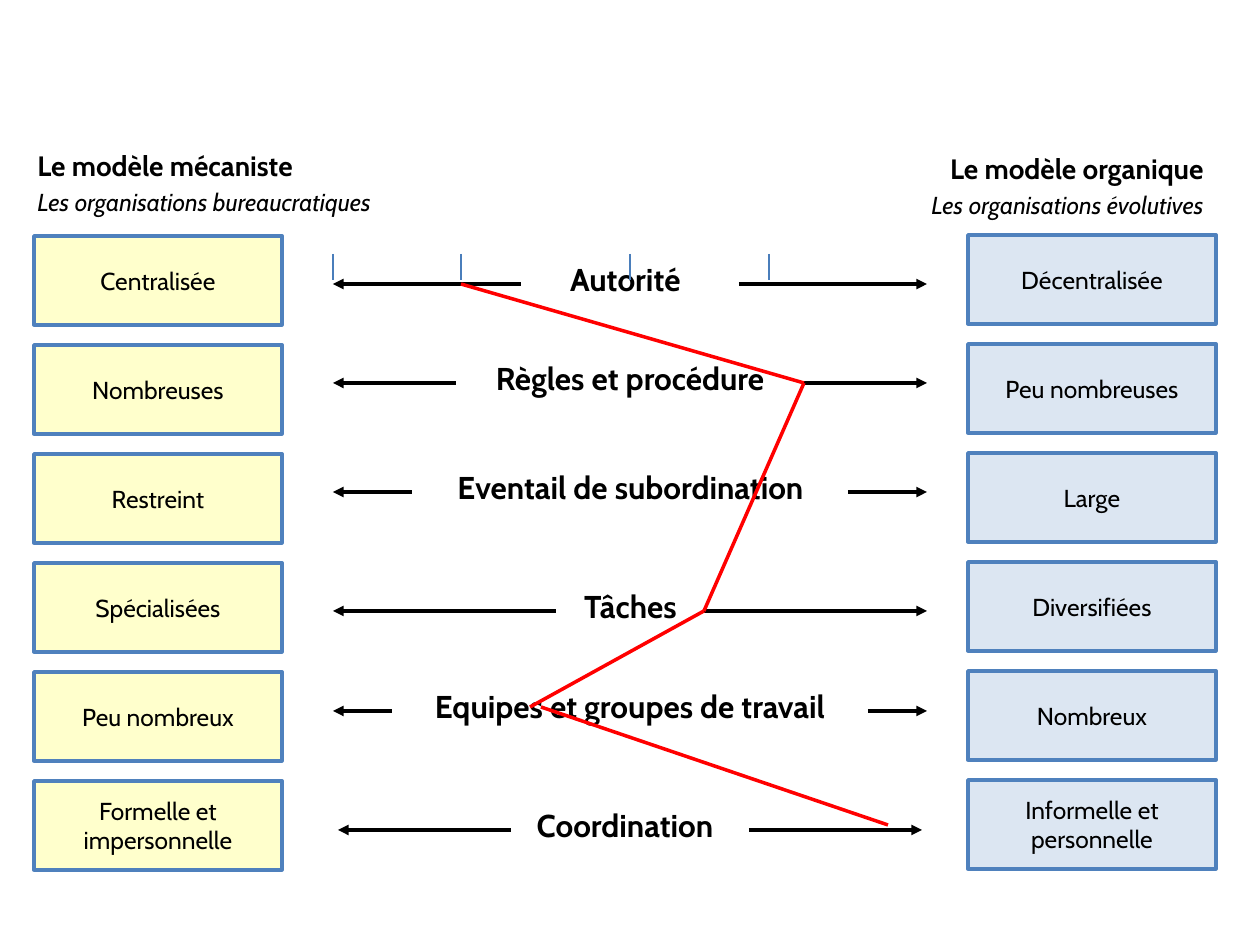
from lxml import etree
from pptx import Presentation
from pptx.dml.color import RGBColor
from pptx.enum.shapes import MSO_CONNECTOR, MSO_SHAPE
from pptx.enum.text import MSO_ANCHOR, PP_ALIGN
from pptx.oxml.ns import qn
from pptx.util import Emu, Pt

LEFT, CENTER, RIGHT = PP_ALIGN.LEFT, PP_ALIGN.CENTER, PP_ALIGN.RIGHT
TOP, MIDDLE = MSO_ANCHOR.TOP, MSO_ANCHOR.MIDDLE
STRAIGHT, RECTANGLE = MSO_CONNECTOR.STRAIGHT, MSO_SHAPE.RECTANGLE
FONT = "Cabin"
COLORS = {"text": "000000", "arrow": "000000", "mechanistic": "FFFFCC",
          "organic": "DCE6F2", "border": "4F81BD", "profile": "FF0000", "tick": "4A7EBB"}

# Content: headings as title, subtitle, left, top, alignment
HEADINGS = [
    ("Le modèle mécaniste", "Les organisations bureaucratiques", 25, 142, LEFT),
    ("Le modèle organique", "Les organisations évolutives", 809, 145, RIGHT),
]
# Box columns as fill, left, top, entries (one list of lines per box)
COLUMNS = [
    ("mechanistic", 34, 236, [["Centralisée"], ["Nombreuses"], ["Restreint"], ["Spécialisées"],
                              ["Peu nombreux"], ["Formelle et", "impersonnelle"]]),
    ("organic", 968, 235, [["Décentralisée"], ["Peu nombreuses"], ["Large"], ["Diversifiées"],
                           ["Nombreux"], ["Informelle et", "personnelle"]]),
]
# Criteria as label, label centre, label width, arrow height,
# then inner and outer arrow distance from the middle
CRITERIA = [
    ("Autorité", 625, 189, 284, 109, 297),
    ("Règles et procédure", 630, 358, 383, 174, 297),
    ("Eventail de subordination", 630, 437, 492, 218, 297),
    ("Tâches", 630, 179, 611, 74, 297),
    ("Equipes et groupes de travail", 630, 496, 711, 238, 297),
    ("Coordination", 625, 248, 830, 119, 292),
]
PROFILE = [((461, 284), (804, 383)), ((704, 611), (804, 383)),
           ((530, 707), (704, 611)), ((541, 707), (888, 825))]
TICKS = [333, 461, 630, 769]

BOX_WIDTH, BOX_HEIGHT, BOX_STEP = 248, 89, 109
LABEL_HEIGHT, LABEL_RISE = 50, 30
MIDLINE = 630
TICK_TOP, TICK_BOTTOM = 254, 280


def px(value):
    return Emu(value * 914400 // 126)


def color(name):
    return RGBColor.from_string(COLORS[name])


def write(frame, lines, align, anchor, wrap):
    """Fill a frame; each line is text, size, bold, italic, space before."""
    frame.word_wrap = wrap
    frame.vertical_anchor = anchor
    for index, (text, size, bold, italic, before) in enumerate(lines):
        para = frame.paragraphs[0] if index == 0 else frame.add_paragraph()
        para.alignment = align
        para.space_before = Pt(before)
        span = para.add_run()
        span.text = text
        span.font.name = FONT
        span.font.size = Pt(size)
        span.font.bold = bold
        span.font.italic = italic
        span.font.color.rgb = color("text")


def add_text(slide, left, top, width, height, lines, align, anchor):
    box = slide.shapes.add_textbox(px(left), px(top), px(width), px(height))
    write(box.text_frame, lines, align, anchor, True)


def add_box(slide, left, top, fill, lines):
    box = slide.shapes.add_shape(RECTANGLE, px(left), px(top), px(BOX_WIDTH), px(BOX_HEIGHT))
    box.shadow.inherit = False
    box.fill.solid()
    box.fill.fore_color.rgb = color(fill)
    box.line.color.rgb = color("border")
    box.line.width = Pt(2)
    write(box.text_frame, [(line, 14, False, False, 0) for line in lines],
          CENTER, MIDDLE, False)


def add_line(slide, start, end, name, width=2, arrow=False):
    line = slide.shapes.add_connector(STRAIGHT, *map(px, start + end))
    line.line.color.rgb = color(name)
    line.line.width = Pt(width)
    if arrow:
        etree.SubElement(line.line._get_or_add_ln(), qn("a:tailEnd"), type="triangle")
    etree.SubElement(line._element.spPr, qn("a:effectLst"))


def main():
    deck = Presentation()
    deck.slide_width, deck.slide_height = px(1260), px(945)
    slide = deck.slides.add_slide(deck.slide_layouts[6])

    # Headings and the two columns of boxes
    for title, subtitle, left, top, align in HEADINGS:
        lines = [(title, 16, True, False, 0), (subtitle, 14, False, True, 3)]
        add_text(slide, left, top, 407, 82, lines, align, TOP)
    for fill, left, top, entries in COLUMNS:
        for row, lines in enumerate(entries):
            add_box(slide, left, top + row * BOX_STEP, fill, lines)

    # Criteria, each with mirrored arrows pointing outwards
    for label, center, width, y, inner, outer in CRITERIA:
        add_text(slide, center - width // 2, y - LABEL_RISE, width, LABEL_HEIGHT,
                 [(label, 18, True, False, 0)], CENTER, MIDDLE)
        for side in (-1, 1):
            add_line(slide, (MIDLINE + side * inner, y), (MIDLINE + side * outer, y),
                     "arrow", arrow=True)

    # Profile line and scale ticks
    for start, end in PROFILE:
        add_line(slide, start, end, "profile")
    for x in TICKS:
        add_line(slide, (x, TICK_TOP), (x, TICK_BOTTOM), "tick", 0.75)

    deck.save("out.pptx")


if __name__ == "__main__":
    main()
